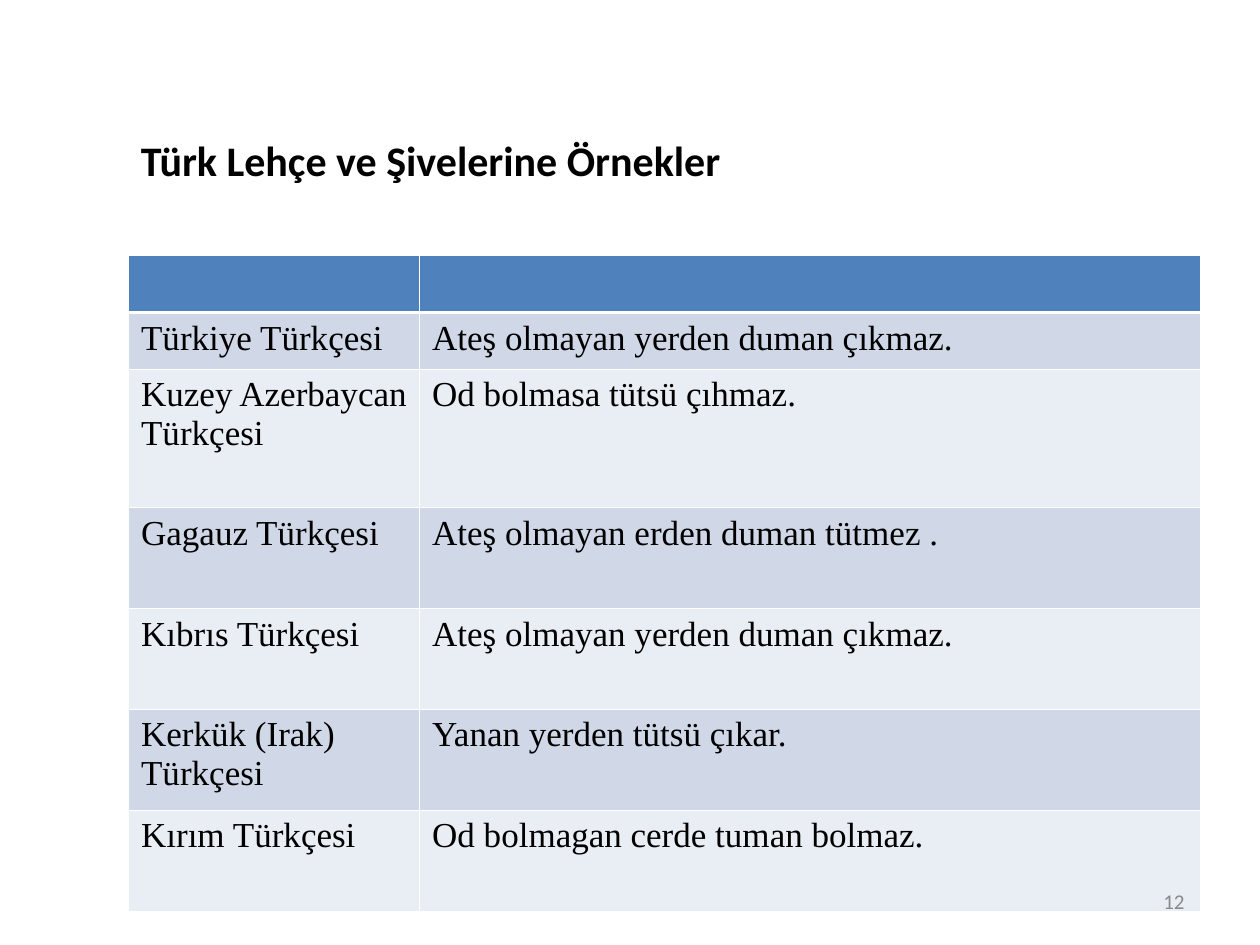
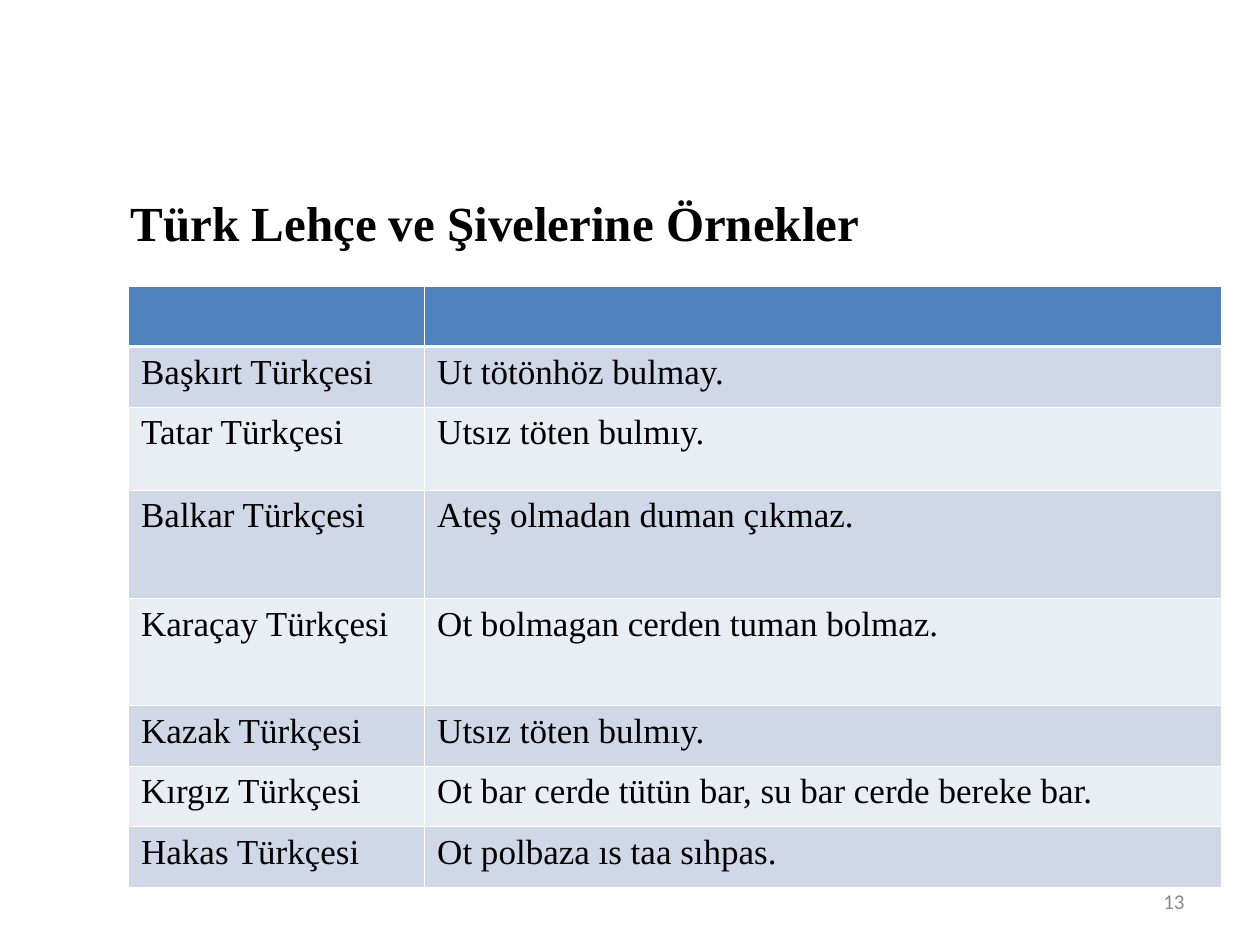
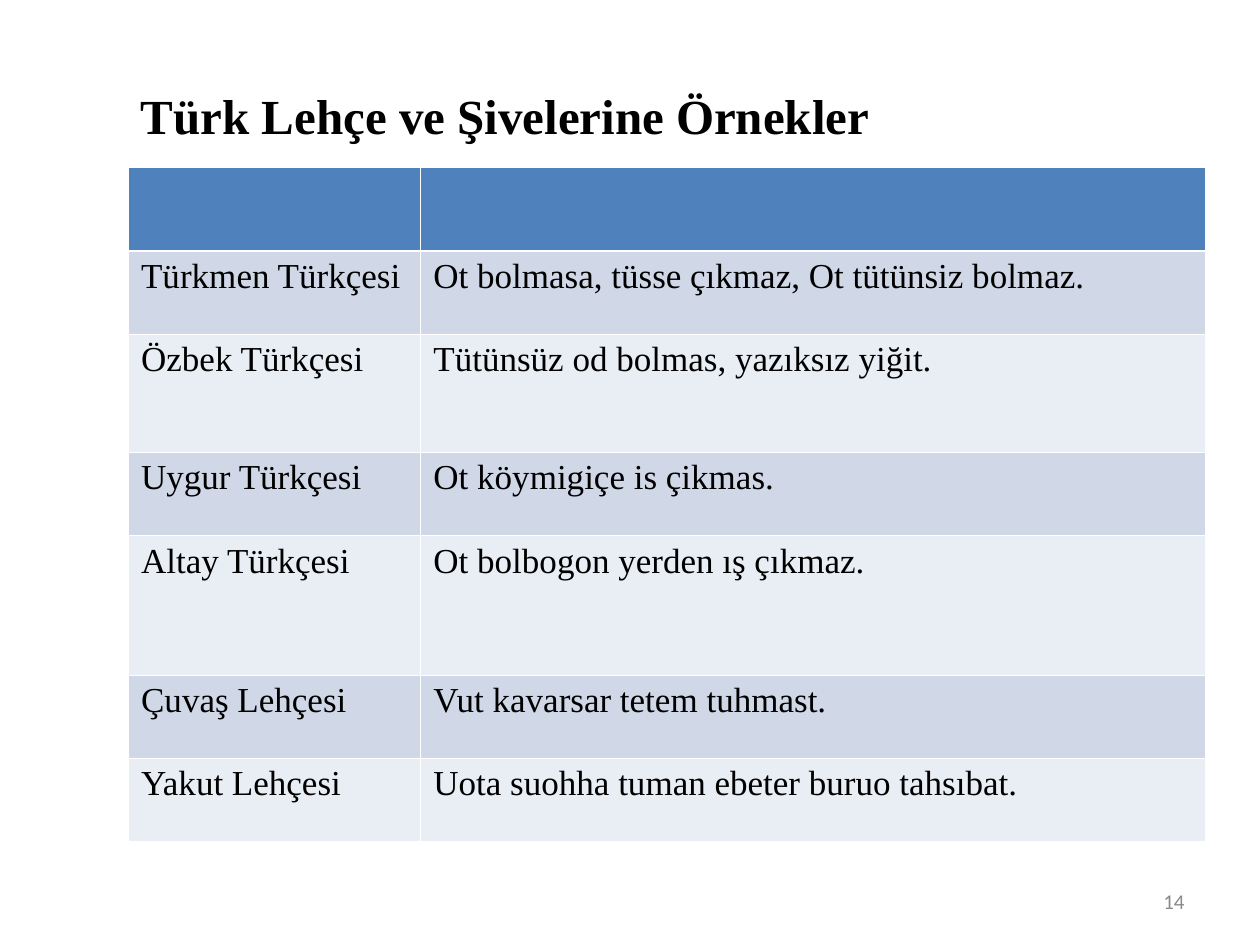
from lxml import etree
from pptx import Presentation
from pptx.dml.color import RGBColor
from pptx.enum.text import MSO_ANCHOR, MSO_AUTO_SIZE, PP_ALIGN
from pptx.oxml.ns import qn
from pptx.util import Inches, Pt

LEFT, RIGHT = PP_ALIGN.LEFT, PP_ALIGN.RIGHT
TOP, MIDDLE = MSO_ANCHOR.TOP, MSO_ANCHOR.MIDDLE
NO_AUTOFIT = MSO_AUTO_SIZE.NONE

BLACK = RGBColor(0x00, 0x00, 0x00)
WHITE = RGBColor(0xFF, 0xFF, 0xFF)
GREY = RGBColor(0x89, 0x89, 0x89)
HEADER_BLUE = RGBColor(0x4F, 0x81, 0xBD)
BANDS = (RGBColor(0xD0, 0xD8, 0xE8), RGBColor(0xE9, 0xED, 0xF4))

SANS, SERIF = "Calibri", "Times New Roman"
TITLE_SANS = {"name": SANS, "size": Pt(24), "bold": True}
TITLE_SERIF = {"name": SERIF, "size": Pt(28), "bold": True}
CELL_FONT = {"name": SERIF, "size": Pt(20), "bold": False}
NUMBER_FONT = {"name": SANS, "size": Pt(12)}
THIN, THICK = Pt(0.45), Pt(1.47)

TITLE = "Türk Lehçe ve Şivelerine Örnekler"
TABLE_LEFT = 1.02
FIRST_NUMBER = 12

SLIDES = [
    {
        "title_at": (1.02, 1.02, 7.71, 0.5),
        "title_font": TITLE_SANS,
        "table_top": 2.03,
        "columns": (2.31, 6.2),
        "header_height": 0.45,
        "proverbs": [
            ("Türkiye Türkçesi", "Ateş olmayan yerden duman çıkmaz.", 0.45),
            ("Kuzey Azerbaycan Türkçesi", "Od bolmasa tütsü çıhmaz.", 1.1),
            ("Gagauz Türkçesi", "Ateş olmayan erden duman tütmez .", 0.8),
            ("Kıbrıs Türkçesi", "Ateş olmayan yerden duman çıkmaz.", 0.8),
            ("Kerkük (Irak) Türkçesi", "Yanan yerden tütsü çıkar.", 0.8),
            ("Kırım Türkçesi", "Od bolmagan cerde tuman bolmaz.", 0.8),
        ],
    },
    {
        "title_at": (0.94, 1.48, 6.9, 0.57),
        "title_font": TITLE_SERIF,
        "table_top": 2.27,
        "columns": (2.35, 6.32),
        "header_height": 0.48,
        "proverbs": [
            ("Başkırt Türkçesi", "Ut tötönhöz bulmay.", 0.48),
            ("Tatar Türkçesi", "Utsız töten bulmıy.", 0.66),
            ("Balkar Türkçesi", "Ateş olmadan duman çıkmaz.", 0.86),
            ("Karaçay Türkçesi", "Ot bolmagan cerden tuman bolmaz.", 0.85),
            ("Kazak Türkçesi", "Utsız töten bulmıy.", 0.48),
            ("Kırgız Türkçesi", "Ot bar cerde tütün bar, su bar cerde bereke bar.", 0.48),
            ("Hakas Türkçesi", "Ot polbaza ıs taa sıhpas.", 0.48),
        ],
    },
    {
        "title_at": (1.02, 0.63, 6.9, 0.57),
        "title_font": TITLE_SERIF,
        "table_top": 1.33,
        "columns": (2.32, 6.23),
        "header_height": 0.66,
        "proverbs": [
            ("Türkmen Türkçesi", "Ot bolmasa, tüsse çıkmaz, Ot tütünsiz bolmaz.", 0.66),
            ("Özbek Türkçesi", "Tütünsüz od bolmas, yazıksız yiğit.", 0.94),
            ("Uygur Türkçesi", "Ot köymigiçe is çikmas.", 0.66),
            ("Altay Türkçesi", "Ot bolbogon yerden ış çıkmaz.", 1.11),
            ("Çuvaş Lehçesi", "Vut kavarsar tetem tuhmast.", 0.66),
            ("Yakut Lehçesi", "Uota suohha tuman ebeter buruo tahsıbat.", 0.66),
        ],
    },
]


def set_borders(cell, top, bottom):
    """Draw white cell borders; the schema wants them before the fill."""
    properties = cell._tc.get_or_add_tcPr()
    widths = {"a:lnL": THIN, "a:lnR": THIN, "a:lnT": top, "a:lnB": bottom}
    for position, (tag, width) in enumerate(widths.items()):
        line = etree.Element(qn(tag), w=str(width))
        fill = etree.SubElement(line, qn("a:solidFill"))
        etree.SubElement(fill, qn("a:srgbClr"), val=str(WHITE))
        properties.insert(position, line)


class ProverbDeck:
    def __init__(self):
        self.deck = Presentation()
        self.deck.slide_width, self.deck.slide_height = Inches(10), Inches(7.5)
        self.slide = None

    def new_slide(self):
        self.slide = self.deck.slides.add_slide(self.deck.slide_layouts[6])

    def fill_text(self, frame, text, font, color=BLACK, align=LEFT):
        paragraph = frame.paragraphs[0]
        paragraph.text = text
        paragraph.alignment = align
        for name, value in font.items():
            setattr(paragraph.font, name, value)
        paragraph.font.color.rgb = color

    def text_box(self, place, text, font, color=BLACK, align=LEFT, anchor=TOP):
        frame = self.slide.shapes.add_textbox(*map(Inches, place)).text_frame
        frame.word_wrap = True
        frame.auto_size = NO_AUTOFIT
        frame.vertical_anchor = anchor
        self.fill_text(frame, text, font, color, align)

    def page_number(self, number):
        self.text_box((7.17, 6.95, 2.33, 0.4), str(number), NUMBER_FONT, GREY, RIGHT, MIDDLE)

    def proverb_table(self, top, columns, header_height, proverbs):
        """Table with an empty header row above (dialect, proverb, height) rows."""
        rows = [("", "", header_height), *proverbs]
        size = sum(columns), sum(height for *_, height in rows)
        table = self.slide.shapes.add_table(
            len(rows), len(columns), *map(Inches, (TABLE_LEFT, top, *size))).table
        for column, width in zip(table.columns, columns):
            column.width = Inches(width)
        for index, (*texts, height) in enumerate(rows):
            table.rows[index].height = Inches(height)
            for cell, text in zip(table.rows[index].cells, texts):
                cell.fill.solid()
                cell.fill.fore_color.rgb = BANDS[(index - 1) % 2] if index else HEADER_BLUE
                set_borders(cell, THICK if index == 1 else THIN, THIN if index else THICK)
                if text:
                    self.fill_text(cell.text_frame, text, CELL_FONT)


def main():
    proverb_deck = ProverbDeck()
    for number, content in enumerate(SLIDES, FIRST_NUMBER):
        proverb_deck.new_slide()
        proverb_deck.text_box(content["title_at"], TITLE, content["title_font"])
        proverb_deck.proverb_table(content["table_top"], content["columns"],
                                   content["header_height"], content["proverbs"])
        proverb_deck.page_number(number)
    proverb_deck.deck.save("out.pptx")


if __name__ == "__main__":
    main()
